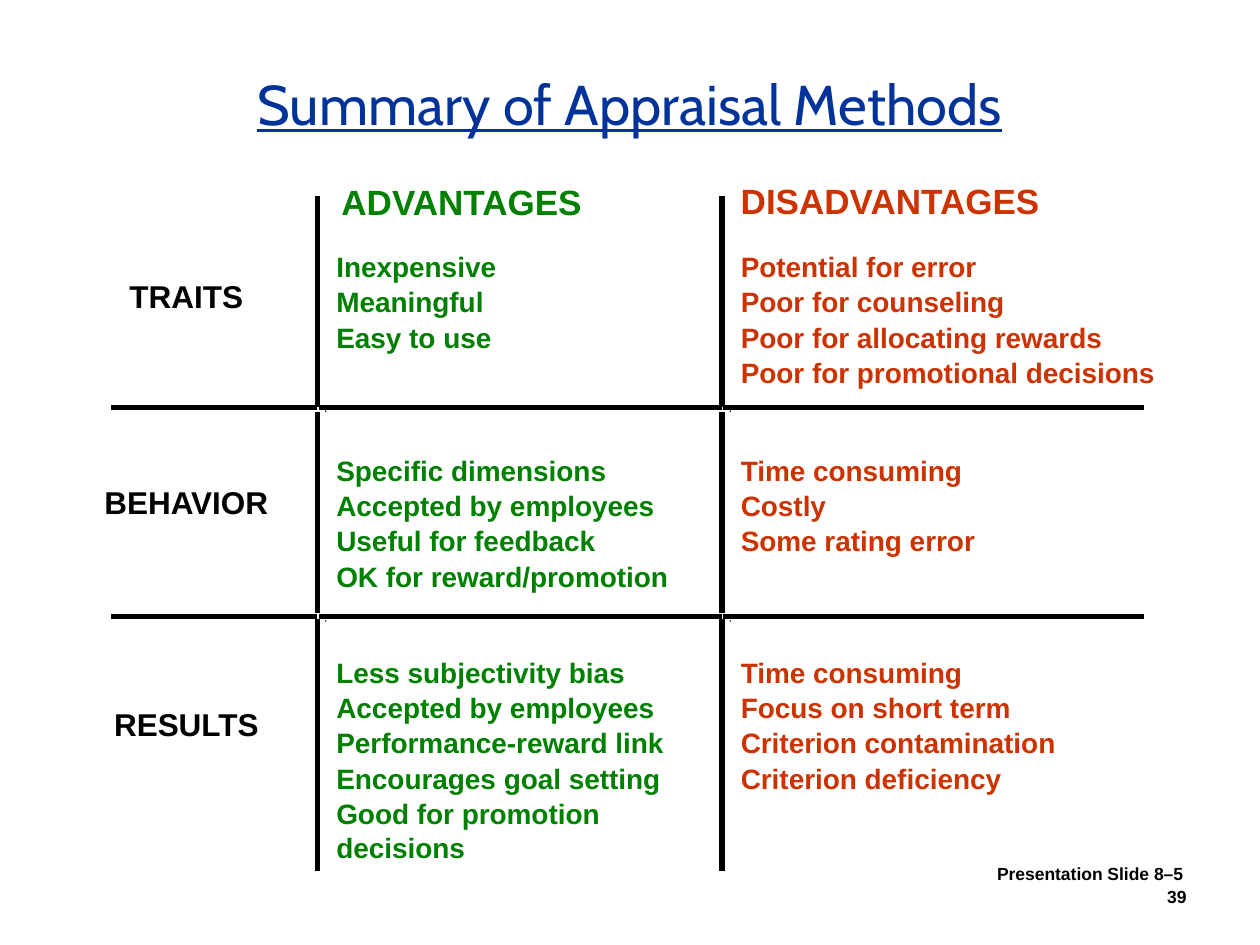
from itertools import product

from lxml import etree
from pptx import Presentation
from pptx.dml.color import RGBColor
from pptx.enum import shapes, text
from pptx.oxml.ns import qn
from pptx.util import Pt

BLUE = RGBColor(0x00, 0x33, 0x99)
GREEN = RGBColor(0x00, 0x80, 0x00)
RED = RGBColor(0xCC, 0x33, 0x00)
BLACK = RGBColor(0x00, 0x00, 0x00)

LABEL_LEFT, LABEL_WIDTH = 59, 95
ADVANTAGE_LEFT, ADVANTAGE_WIDTH = 192.2, 195
DISADVANTAGE_LEFT, DISADVANTAGE_WIDTH = 423.3, 240
LINE_PITCH = 20.2
LINE_HEIGHT = 19.2

COLUMN_RULES = (181.5, 412.6)
ROW_RULES = (232.7, 352.5)
VERTICAL_SPANS = ((112.3, 232.6), (235.7, 350.2), (353.5, 497.5))
HORIZONTAL_SPANS = ((63.4, 181.4), (182.2, 412.6), (413.3, 653.8))

METHODS = [
    ("TRAITS", 158.4, 142.6,
     ["Inexpensive", "Meaningful", "Easy to use"],
     ["Potential for error", "Poor for counseling",
      "Poor for allocating rewards", "Poor for promotional decisions"]),
    ("BEHAVIOR", 275.8, 259,
     ["Specific dimensions", "Accepted by employees",
      "Useful for feedback", "OK for reward/promotion"],
     ["Time consuming", "Costly", "Some rating error"]),
    ("RESULTS", 403, 374.4,
     ["Less subjectivity bias", "Accepted by employees",
      "Performance-reward link", "Encourages goal setting",
      "Good for promotion\vdecisions"],
     ["Time consuming", "Focus on short term",
      "Criterion contamination", "Criterion deficiency"]),
]


def add_text(page, words, left, top, width, height, size, color,
             align=text.PP_ALIGN.LEFT, anchor=text.MSO_ANCHOR.TOP,
             font="Arial", bold=True, underline=None):
    box = page.shapes.add_textbox(Pt(left), Pt(top), Pt(width), Pt(height))
    frame = box.text_frame
    frame.word_wrap = True
    frame.vertical_anchor = anchor
    frame.margin_left = frame.margin_right = 0
    frame.margin_top = frame.margin_bottom = 0
    frame.text = words
    para = frame.paragraphs[0]
    para.alignment = align
    for span in para.runs:
        span.font.name = font
        span.font.size = Pt(size)
        span.font.bold = bold
        span.font.underline = underline
        span.font.color.rgb = color


def add_list(page, items, left, top, width, color):
    for index, item in enumerate(items):
        height = LINE_HEIGHT * (1 + item.count("\v"))
        add_text(page, item, left, top + index * LINE_PITCH, width, height,
                 16, color)


def add_rule(page, x1, y1, x2, y2):
    line = page.shapes.add_connector(shapes.MSO_CONNECTOR.STRAIGHT,
                                     Pt(x1), Pt(y1), Pt(x2), Pt(y2))
    line.line.color.rgb = BLACK
    line.line.width = Pt(3)
    etree.SubElement(line._element.spPr, qn("a:effectLst"))


def add_dot(page, left, top):
    dot = page.shapes.add_shape(shapes.MSO_SHAPE.RECTANGLE,
                                Pt(left), Pt(top), Pt(0.7), Pt(0.7))
    dot.shadow.inherit = False
    dot.fill.solid()
    dot.fill.fore_color.rgb = BLACK
    dot.line.fill.background()


def add_grid(page):
    for x, y in product(COLUMN_RULES, ROW_RULES):
        add_dot(page, x + 4.3, y + 2)
    for x, (top, bottom) in product(COLUMN_RULES, VERTICAL_SPANS):
        add_rule(page, x, top, x, bottom)
    for y, (left, right) in product(ROW_RULES, HORIZONTAL_SPANS):
        add_rule(page, left, y, right, y)


def add_method(page, label, label_top, list_top, advantages, disadvantages):
    add_text(page, label, LABEL_LEFT, label_top, LABEL_WIDTH, 21.6, 18, BLACK,
             align=text.PP_ALIGN.CENTER)
    add_list(page, advantages, ADVANTAGE_LEFT, list_top, ADVANTAGE_WIDTH,
             GREEN)
    add_list(page, disadvantages, DISADVANTAGE_LEFT, list_top,
             DISADVANTAGE_WIDTH, RED)


def main():
    deck = Presentation()
    deck.slide_width, deck.slide_height = Pt(720), Pt(540)
    page = deck.slides.add_slide(deck.slide_layouts[6])
    add_text(page, "Summary of Appraisal Methods", 54, 39.6, 612, 52, 32, BLUE,
             align=text.PP_ALIGN.CENTER, font="Cabin", bold=False,
             underline=True)
    add_text(page, "ADVANTAGES", 195.1, 103, 140.4, 24, 20, GREEN)
    add_text(page, "DISADVANTAGES", DISADVANTAGE_LEFT, 102.4, 174, 24, 20, RED)
    for method in METHODS:
        add_method(page, *method)
    add_grid(page)
    add_text(page, "Presentation Slide 8–5", 532, 493.2, 144, 12.2, 10, BLACK,
             align=text.PP_ALIGN.RIGHT, anchor=text.MSO_ANCHOR.BOTTOM)
    add_text(page, "39", 504, 486, 174, 32.4, 10, BLACK,
             align=text.PP_ALIGN.RIGHT, anchor=text.MSO_ANCHOR.BOTTOM)
    deck.save("out.pptx")


if __name__ == "__main__":
    main()
